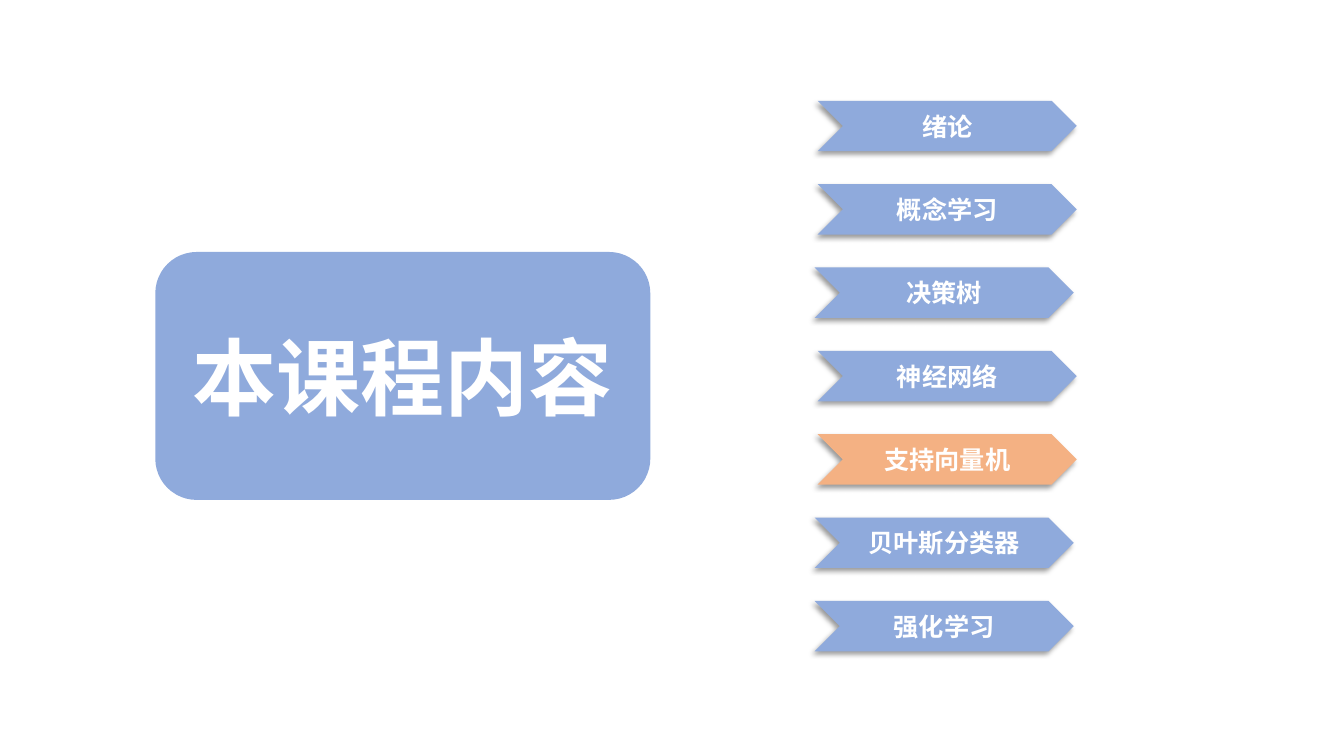
import pptx
import pptx.util
import pptx.dml.color
import pptx.enum.shapes
import pptx.enum.text
import lxml.etree

COLORS = {"blue": "8FAADC", "orange": "F4B183", "white": "FFFFFF", "shadow": "000000"}
SHAPE = pptx.enum.shapes.MSO_SHAPE
A = "http://schemas.openxmlformats.org/drawingml/2006/main"


def add_label(slide, kind, box, text, size, color):
    """Add a filled, unlined shape with bold centred text; box is in inches."""
    sp = slide.shapes.add_shape(kind, *(pptx.util.Inches(v) for v in box))
    sp.fill.solid()
    sp.fill.fore_color.rgb = pptx.dml.color.RGBColor.from_string(COLORS[color])
    sp.line.fill.background()
    sp.shadow.inherit = False
    tf = sp.text_frame
    tf.vertical_anchor = pptx.enum.text.MSO_ANCHOR.MIDDLE
    p = tf.paragraphs[0]
    p.alignment = pptx.enum.text.PP_ALIGN.CENTER
    r = p.add_run()
    r.text = text
    style = {"name": "Calibri", "size": pptx.util.Pt(size), "bold": True}
    for key, value in style.items():
        setattr(r.font, key, value)
    r.font.color.rgb = pptx.dml.color.RGBColor.from_string(COLORS["white"])
    return sp


def add_shadow(sp):
    """Cast a soft 40% shadow down and to the left."""
    effects = sp._element.spPr.find(f"{{{A}}}effectLst")
    shadow = lxml.etree.SubElement(
        effects, f"{{{A}}}outerShdw", blurRad=str(pptx.util.Pt(4)),
        dist=str(pptx.util.Pt(3)), dir=str(135 * 60000), algn="tr", rotWithShape="0")
    color = lxml.etree.SubElement(shadow, f"{{{A}}}srgbClr", val=COLORS["shadow"])
    lxml.etree.SubElement(color, f"{{{A}}}alpha", val="40000")


prs = pptx.Presentation()
prs.slide_width = pptx.util.Inches(13.33)
prs.slide_height = pptx.util.Inches(7.5)
s = prs.slides.add_slide(prs.slide_layouts[6])

add_label(s, SHAPE.FLOWCHART_ALTERNATE_PROCESS, (1.54, 2.5, 4.91, 2.46),
          "本课程内容", 60, "blue")

# Chapter list: one chevron per row, the current chapter in orange
LEFT, INNER_LEFT = 8.11, 8.08
TOP, PITCH = 1.0, 0.827
WIDTH, HEIGHT = 2.57, 0.5
CURRENT = "支持向量机"
chapters = [
    ("绪论", LEFT),
    ("概念学习", LEFT),
    ("决策树", INNER_LEFT),
    ("神经网络", LEFT),
    (CURRENT, LEFT),
    ("贝叶斯分类器", INNER_LEFT),
    ("强化学习", INNER_LEFT),
]
for row, (chapter, left) in enumerate(chapters):
    color = "orange" if chapter == CURRENT else "blue"
    box = (left, TOP + row * PITCH, WIDTH, HEIGHT)
    add_shadow(add_label(s, SHAPE.CHEVRON, box, chapter, 18, color))

prs.save("out.pptx")
